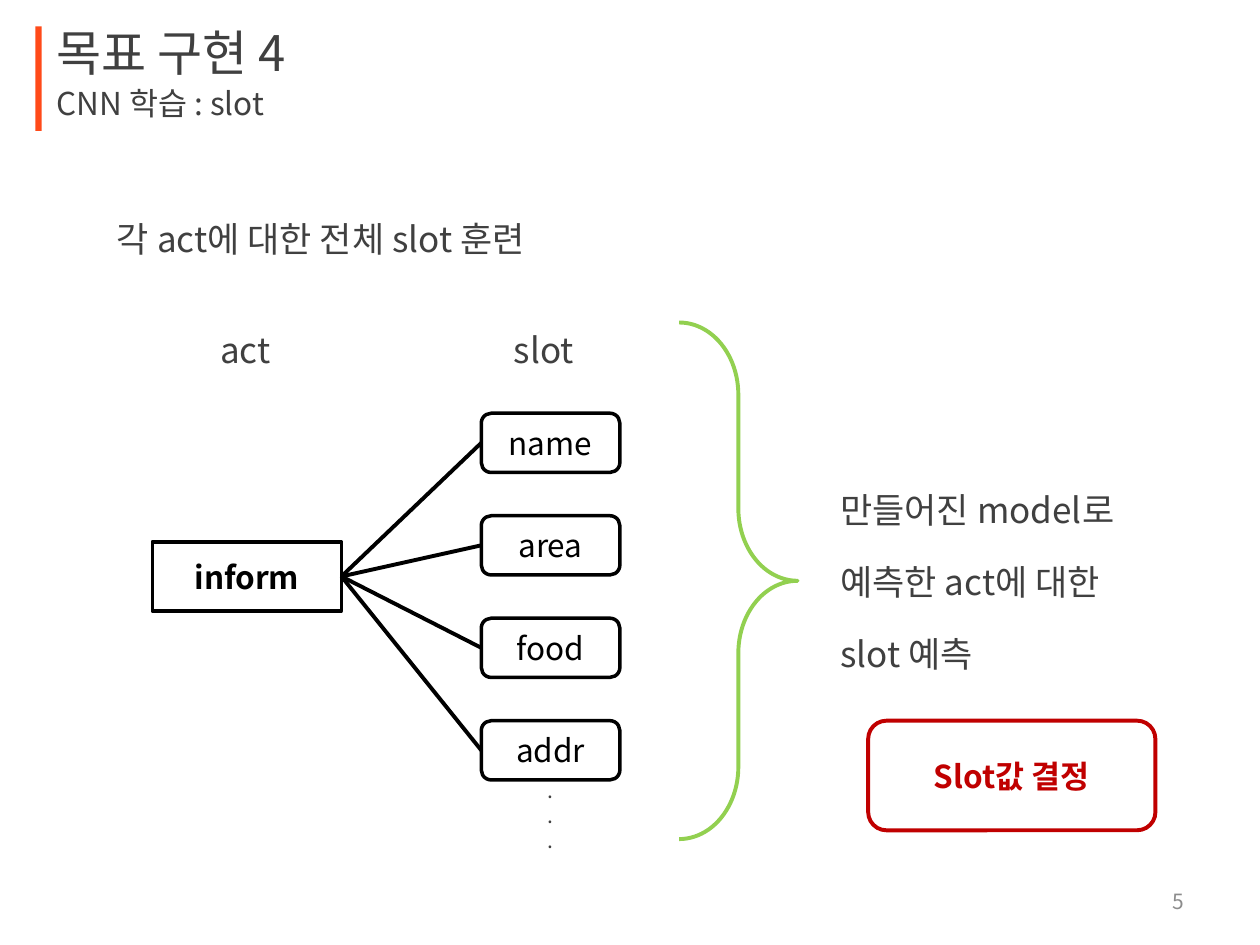
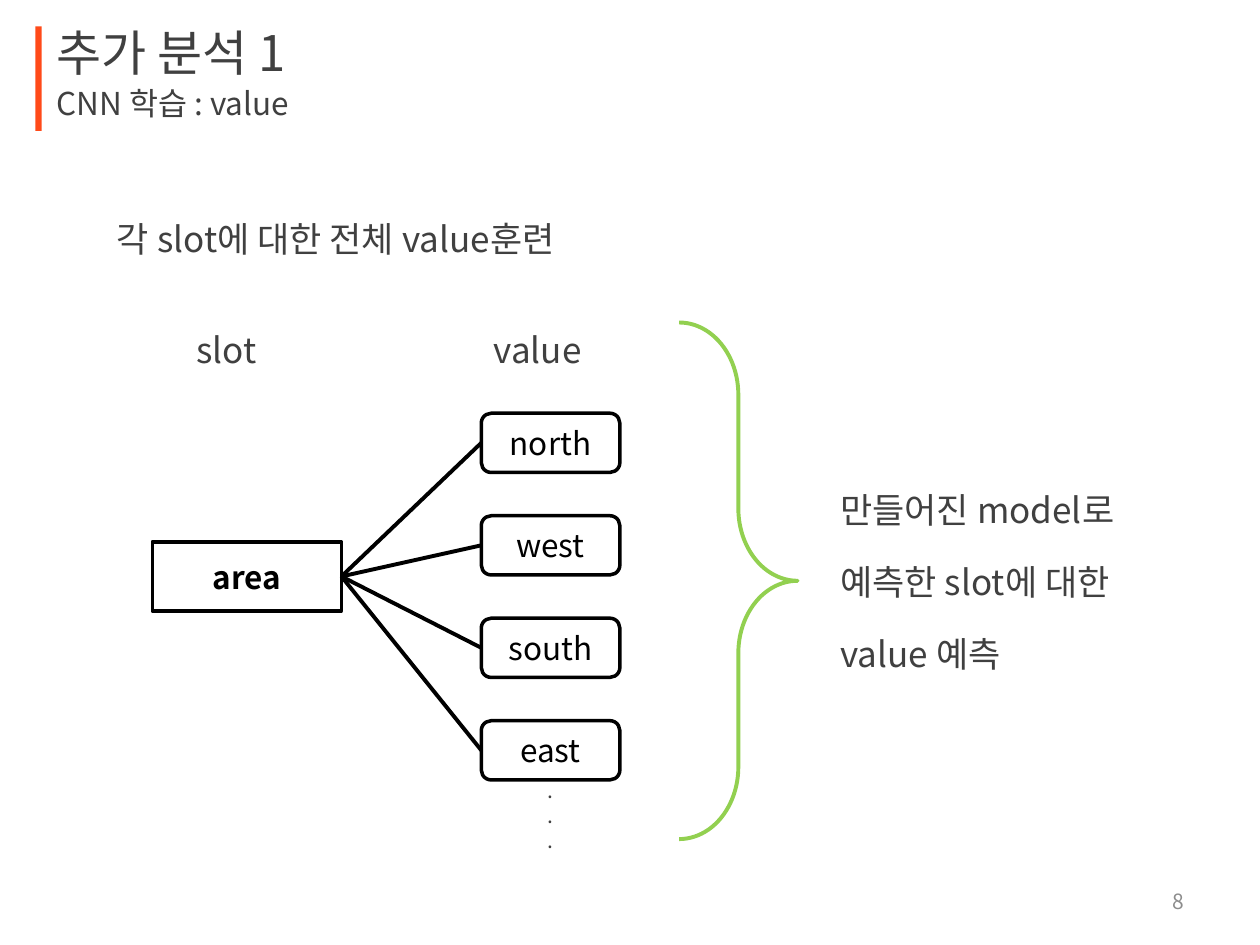
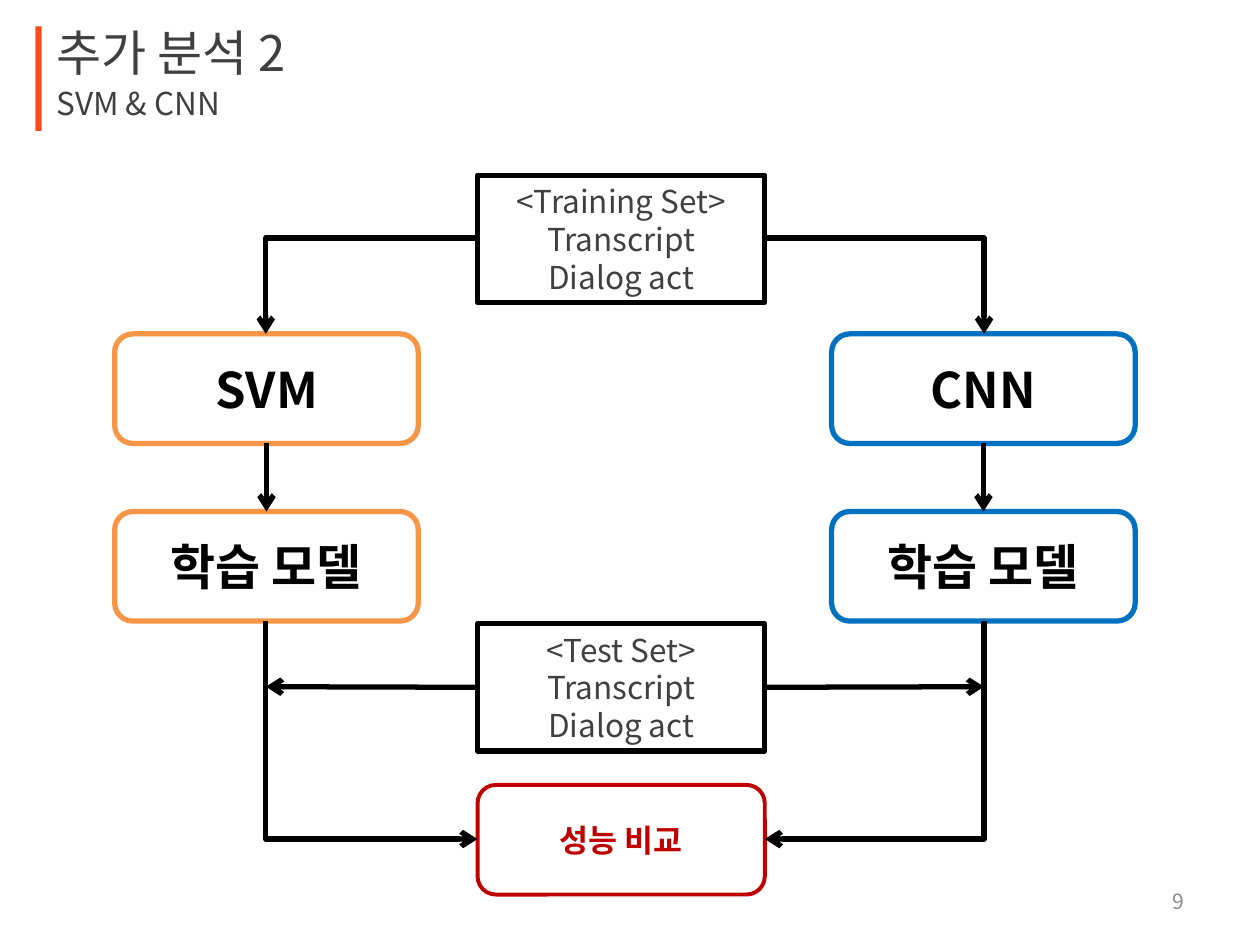
"""Build three slides on CNN slot and value training and the SVM and CNN comparison."""
from lxml import etree
from pptx import Presentation
from pptx.dml.color import RGBColor
from pptx.enum.shapes import MSO_CONNECTOR, MSO_SHAPE
from pptx.enum.text import MSO_ANCHOR, MSO_AUTO_SIZE, PP_ALIGN
from pptx.oxml.ns import qn
from pptx.util import Inches, Pt

RECTANGLE = MSO_SHAPE.RECTANGLE
ROUNDED = MSO_SHAPE.ROUNDED_RECTANGLE
BRACE = MSO_SHAPE.RIGHT_BRACE
STRAIGHT = MSO_CONNECTOR.STRAIGHT
ELBOW = MSO_CONNECTOR.ELBOW
LEFT, CENTER, RIGHT = PP_ALIGN.LEFT, PP_ALIGN.CENTER, PP_ALIGN.RIGHT
MIDDLE = MSO_ANCHOR.MIDDLE
FIT_SHAPE = MSO_AUTO_SIZE.SHAPE_TO_FIT_TEXT
TOP_SIDE, LEFT_SIDE, BOTTOM_SIDE, RIGHT_SIDE = range(4)

FONT = "Noto Sans CJK KR"
BLACK = RGBColor(0x00, 0x00, 0x00)
WHITE = RGBColor(0xFF, 0xFF, 0xFF)
DARK_GRAY = RGBColor(0x40, 0x40, 0x40)
PAGE_GRAY = RGBColor(0x8C, 0x8C, 0x8C)
ACCENT = RGBColor(0xFF, 0x4A, 0x19)
GREEN = RGBColor(0x92, 0xD0, 0x50)
RED = RGBColor(0xC0, 0x00, 0x00)
ORANGE = RGBColor(0xF7, 0x96, 0x46)
BLUE = RGBColor(0x00, 0x70, 0xC0)


def add_block(slide, kind, box, text, size, color=DARK_GRAY, bold=False, align=CENTER,
              line_color=BLACK, line_width=2, gap=0):
    """Add a filled, outlined shape with text, or a plain text box if kind is None."""
    area = [Inches(length) for length in box]
    if kind is None:
        shape = slide.shapes.add_textbox(*area)
        shape.text_frame.word_wrap = False
        shape.text_frame.auto_size = FIT_SHAPE
    else:
        shape = slide.shapes.add_shape(kind, *area)
        shape.shadow.inherit = False
        shape.fill.solid()
        shape.fill.fore_color.rgb = WHITE
        shape.line.color.rgb = line_color
        shape.line.width = Pt(line_width)
        shape.text_frame.vertical_anchor = MIDDLE
    shape.text_frame.text = text
    for index, paragraph in enumerate(shape.text_frame.paragraphs):
        paragraph.alignment = align
        if gap and index:
            paragraph.space_before = Pt(gap)
        for run in paragraph.runs:
            run.font.size = Pt(size)
            run.font.bold = bold
            run.font.color.rgb = color
            run.font.name = FONT
            etree.SubElement(run.font._element, qn("a:ea"), typeface=FONT)
    return shape


def add_line(slide, kind, start, end, width=3, arrow=None):
    """Add a black connector, with an arrowhead at "head" (start) or "tail" (end)."""
    points = [Inches(length) for length in (*start, *end)]
    connector = slide.shapes.add_connector(kind, *points)
    connector.line.color.rgb = BLACK
    connector.line.width = Pt(width)
    if arrow:
        etree.SubElement(connector.line._get_or_add_ln(), qn(f"a:{arrow}End"), type="arrow")
    properties = connector._element.spPr
    etree.SubElement(properties, qn("a:effectLst"))
    if kind == ELBOW:
        properties.find(qn("a:prstGeom")).set("prst", "bentConnector2")
    return connector


presentation = Presentation()
presentation.slide_width = Inches(10)
presentation.slide_height = Inches(7.5)

headings = [
    ("목표 구현 4", "CNN 학습 : slot", 2.18, "5"),
    ("추가 분석 1", "CNN 학습 : value", 2.39, "8"),
    ("추가 분석 2", "SVM & CNN", 1.76, "9"),
]
slides = []
for title, subtitle, subtitle_width, page in headings:
    slide = presentation.slides.add_slide(presentation.slide_layouts[6])
    bar = slide.shapes.add_shape(RECTANGLE, Inches(0.28), Inches(0.21), Inches(0.05), Inches(0.83))
    bar.shadow.inherit = False
    bar.fill.solid()
    bar.fill.fore_color.rgb = ACCENT
    bar.line.fill.background()
    add_block(slide, None, (0.35, 0.13, 2.28, 0.57), title, 28, align=LEFT)
    add_block(slide, None, (0.35, 0.62, subtitle_width, 0.4), subtitle, 18, align=LEFT)
    number = add_block(slide, None, (7.17, 6.95, 2.33, 0.4), page, 12, PAGE_GRAY, align=RIGHT)
    number.text_frame.word_wrap = True
    number.text_frame.auto_size = MSO_AUTO_SIZE.NONE
    number.text_frame.vertical_anchor = MIDDLE
    slides.append(slide)
slot_slide, value_slide, comparison_slide = slides

trees = [
    (slot_slide, "각 act에 대한 전체 slot 훈련", 3.96, "inform", ["name", "area", "food", "addr"],
     [("act", 1.65, 0.67), ("slot", 3.98, 0.79)],
     "만들어진 model로\n예측한 act에 대한\nslot 예측"),
    (value_slide, "각 slot에 대한 전체 value훈련", 4.22, "area", ["north", "west", "south", "east"],
     [("slot", 1.46, 0.79), ("value", 3.82, 1.02)],
     "만들어진 model로\n예측한 slot에 대한\nvalue 예측"),
]
first_leaf_top, last_leaf_top = 3.28, 5.72
for slide, lead, lead_width, root_text, leaves, columns, conclusion in trees:
    add_block(slide, None, (0.83, 1.68, lead_width, 0.44), lead, 20, align=LEFT)
    root = add_block(slide, RECTANGLE, (1.21, 4.3, 1.5, 0.55), root_text, 18, BLACK, bold=True)
    leaf_pitch = (last_leaf_top - first_leaf_top) / (len(leaves) - 1)
    for index, leaf_text in enumerate(leaves):
        leaf_top = first_leaf_top + index * leaf_pitch
        leaf = add_block(slide, ROUNDED, (3.82, leaf_top, 1.1, 0.47), leaf_text, 18, BLACK)
        branch = add_line(slide, STRAIGHT, (2.71, 4.58), (3.82, leaf_top + 0.235), 2.25)
        branch.begin_connect(root, RIGHT_SIDE)
        branch.end_connect(leaf, LEFT_SIDE)
    for column, left, width in columns:
        add_block(slide, None, (left, 2.56, width, 0.44), column, 20, align=LEFT)
    brace = slide.shapes.add_shape(BRACE, Inches(5.39), Inches(2.56), Inches(0.94), Inches(4.1))
    brace.shadow.inherit = False
    brace.adjustments[0] = 0.61
    brace.fill.background()
    brace.line.color.rgb = GREEN
    brace.line.width = Pt(2.25)
    add_block(slide, None, (6.57, 3.83, 2.65, 1.58), conclusion, 20, align=LEFT, gap=17)
    add_block(slide, None, (4.25, 6.12, 0.27, 0.71), ".\n.\n.", 12, align=LEFT)

results = [(slot_slide, 6.89, 5.72, "Slot값 결정"), (comparison_slide, 3.79, 6.23, "성능 비교")]
for slide, left, top, text in results:
    add_block(slide, ROUNDED, (left, top, 2.28, 0.87), text, 18, RED, bold=True,
              line_color=RED, line_width=2.25)

data_sets = []
for name, top in [("Training", 1.39), ("Test", 4.95)]:
    data_set = add_block(comparison_slide, RECTANGLE, (3.79, top, 2.28, 1.01),
                         f"<{name} Set>\nTranscript\nDialog act", 18, line_width=3)
    data_set.fill.background()
    data_sets.append(data_set)
test_set = data_sets[1]

methods = [
    ("SVM", ORANGE, 0.91, 2.11, 3.79, LEFT_SIDE),
    ("CNN", BLUE, 6.6, 7.81, 6.07, RIGHT_SIDE),
]
for method, color, left, center, inner_edge, side in methods:
    learner, model = [
        add_block(comparison_slide, ROUNDED, (left, top, 2.41, 0.87), text, 28, BLACK, bold=True,
                  line_color=color, line_width=3)
        for text, top in [(method, 2.65), ("학습 모델", 4.06)]
    ]
    add_line(comparison_slide, ELBOW, (inner_edge, 1.89), (center, 2.65), arrow="tail")
    training = add_line(comparison_slide, STRAIGHT, (center, 3.52), (center, 4.06), arrow="tail")
    training.begin_connect(learner, BOTTOM_SIDE)
    training.end_connect(model, TOP_SIDE)
    testing = add_line(comparison_slide, STRAIGHT, (inner_edge, 5.45), (center, 5.45), arrow="tail")
    testing.begin_connect(test_set, side)
    add_line(comparison_slide, ELBOW, (inner_edge, 6.66), (center, 4.93), arrow="head")

presentation.save("out.pptx")
